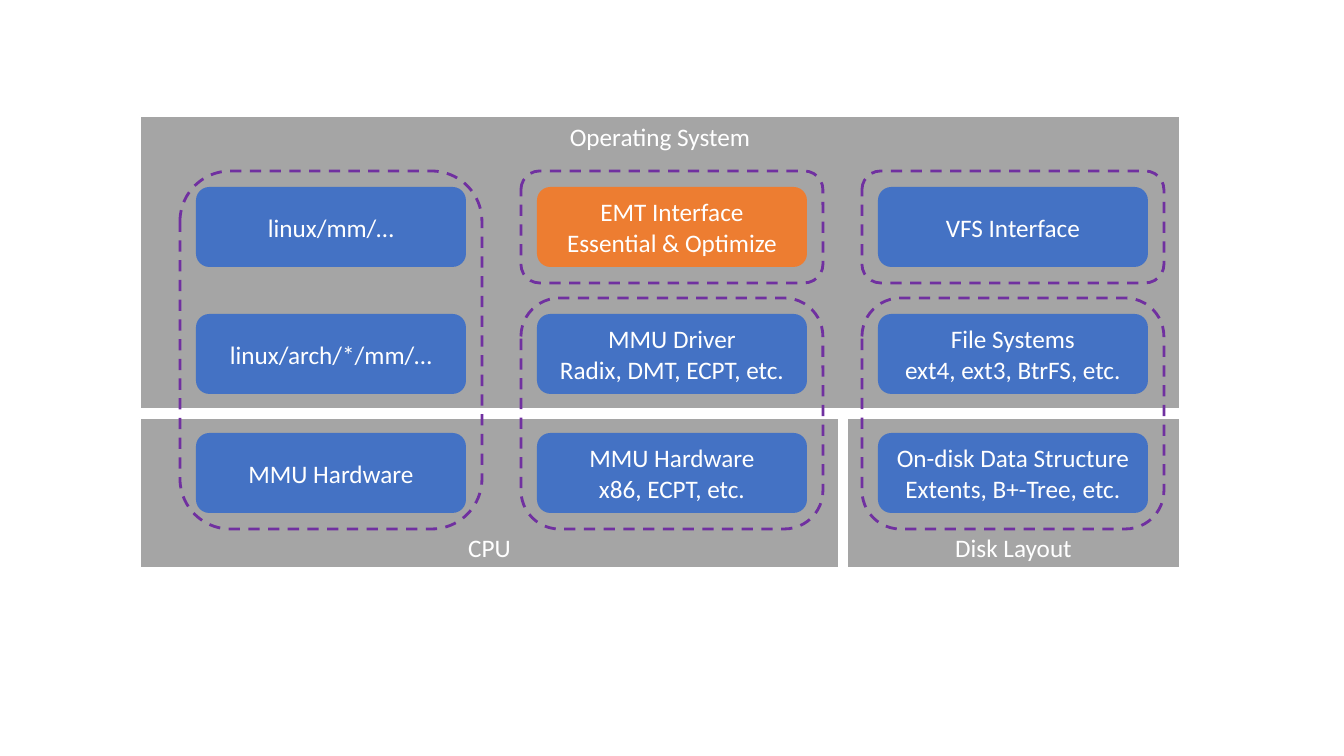
import pptx
import pptx.util
from pptx.dml.color import RGBColor
from pptx.enum.dml import MSO_LINE
from pptx.enum.shapes import MSO_SHAPE
from pptx.enum.text import MSO_ANCHOR, PP_ALIGN

PX = 914400 / 100.8
WHITE = RGBColor(0xFF, 0xFF, 0xFF)
GRAY = RGBColor(0xA5, 0xA5, 0xA5)
BLUE = RGBColor(0x44, 0x72, 0xC4)
ORANGE = RGBColor(0xED, 0x7D, 0x31)
PURPLE = RGBColor(0x70, 0x30, 0xA0)

presentation = pptx.Presentation()
presentation.slide_width = round(1344 * PX)
presentation.slide_height = round(756 * PX)
slide = presentation.slides.add_slide(presentation.slide_layouts[6])


def add_block(kind, left, top, width, height, fill=None):
    shape = slide.shapes.add_shape(
        kind, *(round(length * PX) for length in (left, top, width, height)))
    shape.shadow.inherit = False
    if fill is None:
        shape.fill.background()
    else:
        shape.fill.solid()
        shape.fill.fore_color.rgb = fill
    shape.line.fill.background()
    return shape


def write_label(shape, text, anchor):
    frame = shape.text_frame
    frame.word_wrap = True
    frame.vertical_anchor = anchor
    frame.text = text
    for paragraph in frame.paragraphs:
        paragraph.alignment = PP_ALIGN.CENTER
        paragraph.font.name = "Calibri"
        paragraph.font.size = pptx.util.Pt(18)
        paragraph.font.color.rgb = WHITE


# Gray layers in the background
layers = [
    ("Disk Layout", 847, 418, 333, 150, MSO_ANCHOR.BOTTOM),
    ("CPU", 140, 418, 699, 150, MSO_ANCHOR.BOTTOM),
    ("Operating System", 140, 116, 1040, 293, MSO_ANCHOR.TOP),
]
for text, left, top, width, height, anchor in layers:
    layer = add_block(MSO_SHAPE.RECTANGLE, left, top, width, height, GRAY)
    layer.line.color.rgb = WHITE
    layer.line.width = pptx.util.Pt(1.5)
    write_label(layer, text, anchor)

# Component columns: box labels from top to bottom, and (first row, last row) of each frame
BOX_WIDTH, BOX_HEIGHT, FRAME_MARGIN = 270, 80, 16
COLUMN_LEFT, COLUMN_PITCH = 196, 341
ROW_TOPS = [187, 314, 433]
columns = [
    (["linux/mm/…", "linux/arch/*/mm/…", "MMU Hardware"], [(0, 2)]),
    (["EMT Interface\nEssential & Optimize",
      "MMU Driver\nRadix, DMT, ECPT, etc.",
      "MMU Hardware\nx86, ECPT, etc."], [(0, 0), (1, 2)]),
    (["VFS Interface",
      "File Systems\next4, ext3, BtrFS, etc.",
      "On-disk Data Structure\nExtents, B+-Tree, etc."], [(0, 0), (1, 2)]),
]
for index, (labels, frames) in enumerate(columns):
    left = COLUMN_LEFT + index * COLUMN_PITCH
    for label, top in zip(labels, ROW_TOPS):
        fill = ORANGE if label.startswith("EMT") else BLUE
        box = add_block(MSO_SHAPE.ROUNDED_RECTANGLE, left, top,
                        BOX_WIDTH, BOX_HEIGHT, fill)
        write_label(box, label, MSO_ANCHOR.MIDDLE)

    # Dashed frames around the rows that belong together
    for first, last in frames:
        height = ROW_TOPS[last] - ROW_TOPS[first] + BOX_HEIGHT + 2 * FRAME_MARGIN
        outline = add_block(MSO_SHAPE.ROUNDED_RECTANGLE, left - FRAME_MARGIN,
                            ROW_TOPS[first] - FRAME_MARGIN,
                            BOX_WIDTH + 2 * FRAME_MARGIN, height)
        outline.line.color.rgb = PURPLE
        outline.line.width = pptx.util.Pt(2)
        outline.line.dash_style = MSO_LINE.DASH

presentation.save("out.pptx")
